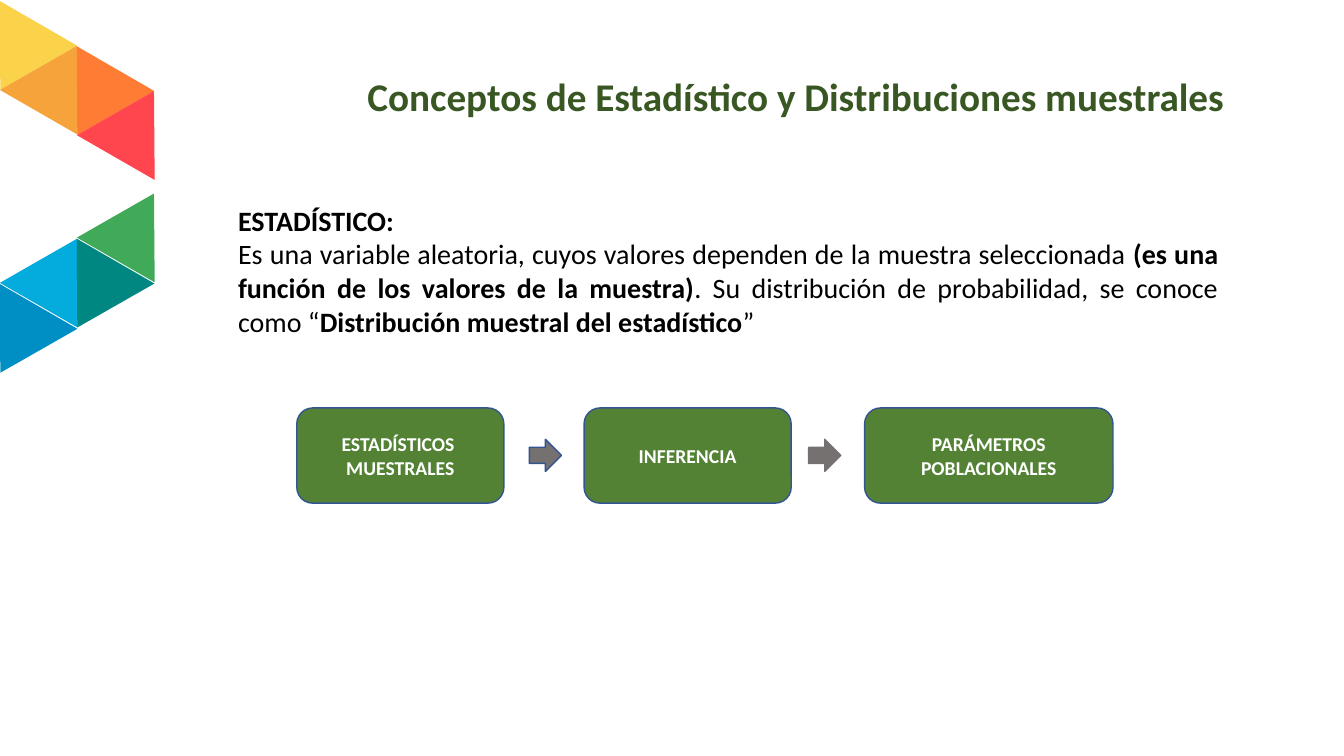
from pptx import Presentation
from pptx.dml.color import RGBColor
from pptx.enum import shapes, text
from pptx.util import Cm, Pt

WHITE = RGBColor(0xFF, 0xFF, 0xFF)
BLACK = RGBColor(0x00, 0x00, 0x00)
DARK_GREEN = RGBColor(0x38, 0x57, 0x23)
GREEN = RGBColor(0x54, 0x82, 0x35)
GRAY = RGBColor(0x76, 0x71, 0x71)
BLUE = RGBColor(0x32, 0x54, 0x91)
WARM = [RGBColor(0xFA, 0xD3, 0x4B), RGBColor(0xF7, 0xA3, 0x3C),
        RGBColor(0xFF, 0x7C, 0x35), RGBColor(0xFF, 0x45, 0x4D)]
COOL = [RGBColor(0x00, 0x8F, 0xC4), RGBColor(0x03, 0xAC, 0xDC),
        RGBColor(0x00, 0x87, 0x81), RGBColor(0x40, 0xAA, 0x59)]
SHAPE = shapes.MSO_SHAPE
ALIGN = text.PP_ALIGN
ANCHOR = text.MSO_ANCHOR


def add_run(p, content, font="Calibri", size=20, color=BLACK, bold=False):
    r = p.add_run()
    r.text = content
    r.font.name = font
    r.font.size = Pt(size)
    r.font.color.rgb = color
    r.font.bold = bold


class SlideBuilder:
    def __init__(self, prs):
        self.slide = prs.slides.add_slide(prs.slide_layouts[5])
        self.font = "Calibri"

    def fill_text(self, tf, paragraphs, align, anchor, **style):
        tf.word_wrap = True
        tf.auto_size = text.MSO_AUTO_SIZE.NONE
        tf.vertical_anchor = anchor
        for i, runs in enumerate(paragraphs):
            p = tf.add_paragraph() if i else tf.paragraphs[0]
            p.alignment = align
            for content, bold in runs:
                add_run(p, content, font=self.font, bold=bold, **style)

    def title(self, content, left, top, width, height):
        sp = self.slide.shapes.title
        sp.left, sp.top, sp.width, sp.height = map(Cm, (left, top, width, height))
        self.fill_text(sp.text_frame, [[(content, True)]], ALIGN.RIGHT, ANCHOR.TOP,
                       size=28, color=DARK_GREEN)
        sp.text_frame.paragraphs[0].line_spacing = 0.9

    def body(self, paragraphs, left, top, width, height):
        sp = self.slide.shapes.add_textbox(*map(Cm, (left, top, width, height)))
        self.fill_text(sp.text_frame, paragraphs, ALIGN.JUSTIFY, ANCHOR.TOP)

    def shape(self, kind, left, top, width, height, fill, line=None, rotation=0):
        sp = self.slide.shapes.add_shape(kind, *map(Cm, (left, top, width, height)))
        sp.shadow.inherit = False
        sp.rotation = rotation
        sp.fill.solid()
        sp.fill.fore_color.rgb = fill
        if line is None:
            sp.line.fill.background()
        else:
            sp.line.color.rgb = line
            sp.line.width = Pt(1)
        return sp

    def triangle_band(self, colors, top, step, odd_shift=0):
        for i, color in enumerate(colors):
            odd = i % 2
            self.shape(SHAPE.ISOSCELES_TRIANGLE, -0.64 + 0.97 * i,
                       top + step * i + odd_shift * odd, 2.26, 1.93, color,
                       rotation=29.9 if odd else 210)

    def stage(self, lines, left, width):
        sp = self.shape(SHAPE.ROUNDED_RECTANGLE, left, 10.28, width, 2.4, GREEN, BLUE)
        self.fill_text(sp.text_frame, [[(line, True)] for line in lines],
                       ALIGN.CENTER, ANCHOR.MIDDLE, size=14, color=WHITE)

    def arrow(self, left, line):
        self.shape(SHAPE.RIGHT_ARROW, left, 11.07, 0.81, 0.81, GRAY, line)


def main():
    prs = Presentation()
    prs.slide_width, prs.slide_height = Cm(33.87), Cm(19.05)
    s = SlideBuilder(prs)

    s.triangle_band(WARM, 0.46, 0.57)
    s.triangle_band(COOL, 7.59, -0.57, odd_shift=-1.13)
    s.title("Conceptos de Estadístico y Distribuciones muestrales",
            6.81, 1.83, 24.28, 1.65)
    s.body([
        [("ESTADÍSTICO:", True)],
        [("Es una variable aleatoria, cuyos valores dependen de la muestra seleccionada ", False),
         ("(es una función de los valores de la muestra)", True),
         (". Su distribución de probabilidad, se conoce como “", False),
         ("Distribución muestral del estadístico", True),
         ("”", False)],
    ], 5.75, 5, 25.2, 3.68)

    for lines, left, width in [
        (["ESTADÍSTICOS ", "MUESTRALES"], 7.48, 5.22),
        (["INFERENCIA"], 14.72, 5.22),
        (["PARÁMETROS", "POBLACIONALES"], 21.79, 6.26),
    ]:
        s.stage(lines, left, width)
    s.arrow(13.34, BLUE)
    s.arrow(20.38, GRAY)

    prs.save("out.pptx")


if __name__ == "__main__":
    main()
